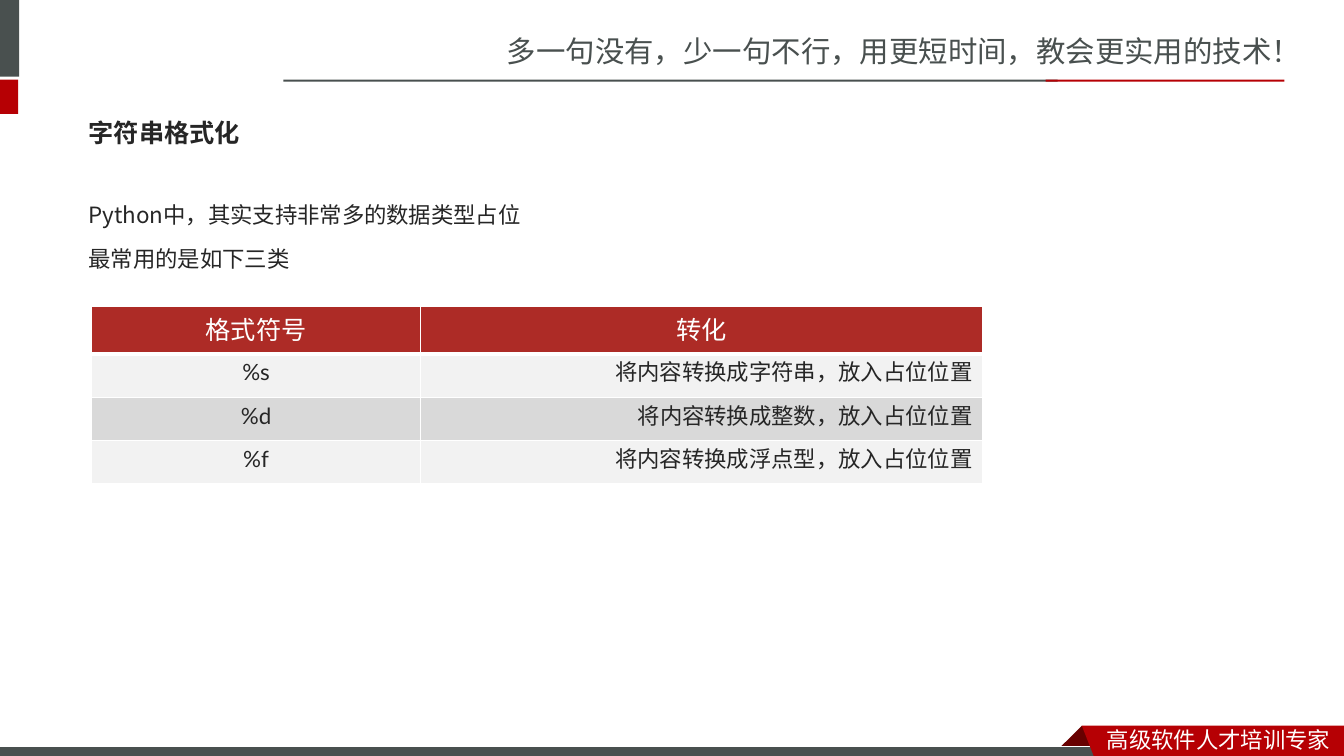
import pptx
import pptx.util
import pptx.dml.color
import pptx.enum.shapes
import pptx.enum.text
import pptx.oxml
import pptx.oxml.ns
from pptx.util import Inches

GREY, RED, DARK_RED, TABLE_RED = "49504F", "B60004", "680000", "AD2B26"
WHITE, INK, LIGHT, MID = "FFFFFF", "262626", "F2F2F2", "D9D9D9"
SC, JP, LATO = "Noto Sans CJK SC", "Noto Sans CJK JP", "Lato"
ALIGN = pptx.enum.text.PP_ALIGN
ANCHOR = pptx.enum.text.MSO_ANCHOR


def rgb(value):
    """Turn a hex string into a colour."""
    return pptx.dml.color.RGBColor.from_string(value)


def write(tf, text, size=16, color=INK, font=JP, bold=False, align=ALIGN.LEFT,
          spacing=None, before=0, anchor=None):
    """Write each line of text as a formatted paragraph."""
    tf.word_wrap = True
    if anchor is not None:
        tf.vertical_anchor = anchor
    for i, line in enumerate(text.split("\n")):
        p = tf.paragraphs[0] if i == 0 else tf.add_paragraph()
        p.alignment = align
        p.space_before = pptx.util.Pt(before if i else 0)
        if spacing:
            p.line_spacing = spacing
        r = p.add_run()
        r.text = line
        r.font.size = pptx.util.Pt(size)
        r.font.bold = bold
        r.font.name = font
        r.font.color.rgb = rgb(color)
        ea = pptx.oxml.parse_xml(
            f'<a:ea {pptx.oxml.ns.nsdecls("a")} typeface="{font}"/>')
        r.font._element.find(pptx.oxml.ns.qn("a:latin")).addnext(ea)


def add_text(slide, x, y, w, h, text, **fmt):
    """Add a text box."""
    sp = slide.shapes.add_textbox(Inches(x), Inches(y), Inches(w), Inches(h))
    write(sp.text_frame, text, **fmt)


def paint(sp, fill, line=None):
    """Give a shape a flat fill and an optional thin outline."""
    sp.shadow.inherit = False
    sp.fill.solid()
    sp.fill.fore_color.rgb = rgb(fill)
    if line:
        sp.line.color.rgb = rgb(line)
        sp.line.width = pptx.util.Pt(0.75)
    else:
        sp.line.fill.background()


def add_bar(slide, x, y, w, h, fill, line=None):
    """Add a plain rectangle."""
    kind = pptx.enum.shapes.MSO_SHAPE.RECTANGLE
    paint(slide.shapes.add_shape(kind, Inches(x), Inches(y), Inches(w), Inches(h)),
          fill, line)


def add_outline(slide, points, fill):
    """Add a closed polygon through points in inches."""
    points = [(Inches(x), Inches(y)) for x, y in points]
    builder = slide.shapes.build_freeform(*points[0], scale=1.0)
    builder.add_line_segments(points[1:], close=True)
    paint(builder.convert_to_shape(), fill)


def set_borders(cell, bottom):
    """Draw white borders around a cell, with the given bottom width."""
    tc_pr = cell._tc.get_or_add_tcPr()
    for i, (side, width) in enumerate(zip("LRTB", (1, 1, 1, bottom))):
        tc_pr.insert(i, pptx.oxml.parse_xml(
            f'<a:ln{side} {pptx.oxml.ns.nsdecls("a")} w="{pptx.util.Pt(width)}">'
            f'<a:solidFill><a:srgbClr val="{WHITE}"/></a:solidFill></a:ln{side}>'))


def add_format_table(slide, x, y, widths, heights, rows):
    """Add a table with a red header and banded rows."""
    table = slide.shapes.add_table(
        len(rows), len(widths), Inches(x), Inches(y),
        Inches(sum(widths)), Inches(sum(heights))).table
    for col, width in zip(table.columns, widths):
        col.width = Inches(width)
    for i, (row, height) in enumerate(zip(rows, heights)):
        table.rows[i].height = Inches(height)
        for j, text in enumerate(row):
            cell = table.cell(i, j)
            cell.fill.solid()
            if i == 0:
                fill = TABLE_RED
                fmt = dict(size=18, color=WHITE, align=ALIGN.CENTER,
                           spacing=pptx.util.Pt(24))
            else:
                fill = LIGHT if i % 2 else MID
                fmt = dict(align=ALIGN.RIGHT if j else ALIGN.CENTER)
            cell.fill.fore_color.rgb = rgb(fill)
            write(cell.text_frame, text, font=LATO, **fmt)
            set_borders(cell, 1 if i else 3)


def add_frame(slide):
    """Draw the header and footer decoration."""
    add_text(slide, 4.93, 0.28, 8.4, 0.45,
             "多一句没有，少一句不行，用更短时间，教会更实用的技术！",
             size=21, color=GREY, font=SC)
    add_bar(slide, -0.06, 0, 0.25, 0.76, GREY)
    add_bar(slide, -0.06, 0.79, 0.24, 0.34, RED)
    add_bar(slide, 2.81, 0.79, 7.68, 0.02, GREY)
    add_bar(slide, 10.37, 0.79, 2.37, 0.02, RED)
    add_outline(slide, [(10.73, 7.2), (10.95, 7.42), (10.94, 7.43),
                        (10.52, 7.43), (10.51, 7.42)], DARK_RED)
    add_bar(slide, -0.01, 7.41, 11, 0.12, GREY, WHITE)
    add_outline(slide, [(10.73, 7.2), (13.33, 7.2), (13.33, 7.54),
                        (10.86, 7.53)], RED)
    add_text(slide, 10.88, 7.15, 2.45, 0.37, "高级软件人才培训专家",
             color=WHITE, font=SC)


def main():
    """Build the slide and save it."""
    prs = pptx.Presentation()
    prs.slide_width, prs.slide_height = Inches(13.33), Inches(7.5)
    slide = prs.slides.add_slide(prs.slide_layouts[5])
    add_frame(slide)
    title = slide.shapes.title
    title.left, title.top = Inches(0.78), Inches(1.03)
    title.width, title.height = Inches(11.7), Inches(0.57)
    write(title.text_frame, "字符串格式化", size=18, bold=True, anchor=ANCHOR.MIDDLE)
    add_text(slide, 0.78, 1.81, 11.7, 1.1,
             "Python中，其实支持非常多的数据类型占位\n最常用的是如下三类",
             spacing=1.5, before=3.2)
    add_format_table(slide, 0.91, 3.04, (3.26, 5.58), (0.47, 0.43, 0.43, 0.43), [
        ("格式符号", "转化"),
        ("%s", "将内容转换成字符串，放入占位位置"),
        ("%d", "将内容转换成整数，放入占位位置"),
        ("%f", "将内容转换成浮点型，放入占位位置"),
    ])


    prs.save("out.pptx")


if __name__ == "__main__":
    main()
